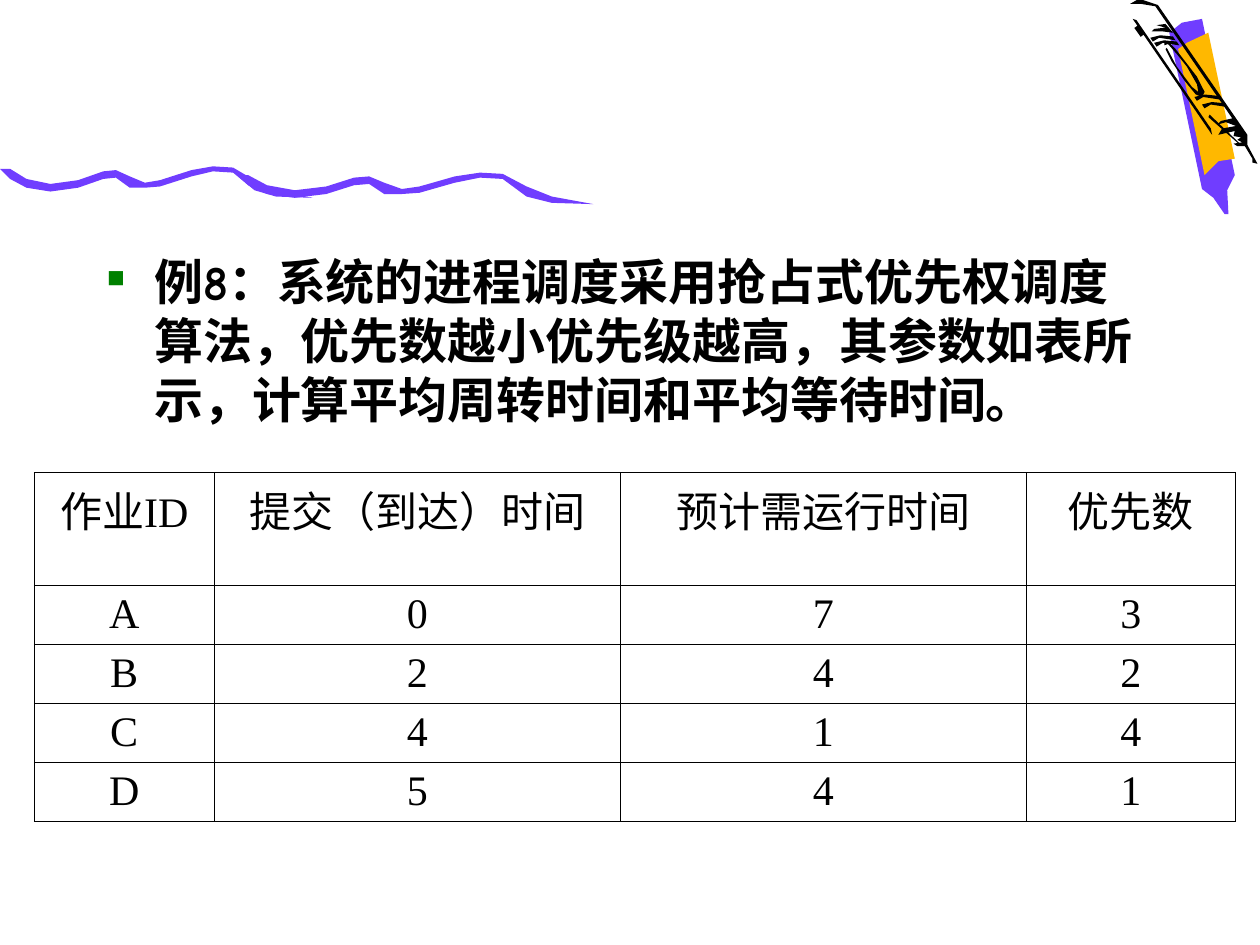
from lxml.etree import SubElement
from pptx import Presentation
from pptx.dml.color import RGBColor
from pptx.enum.shapes import MSO_CONNECTOR
from pptx.enum.text import PP_ALIGN
from pptx.oxml.ns import qn
from pptx.util import Pt

# Decorations are drawn on a grid of hundredths of an inch, given here in points.
GRID = 0.72

# Stations along one wave: x, upper edge, thickness.
WAVE = [(0, 0, 0), (8, 0, 8), (21, 8, 7), (40, 12, 6), (62, 9, 6), (82, 2, 6),
        (92, 1, 6), (103, 6, 9), (115, 11, 4), (127, 9, 5), (152, 1, 5),
        (169, -2, 4), (185, -1, 4), (202, 9, 8), (219, 17, 5), (248, 23, 0)]
# The same wave is drawn twice: origin and horizontal stretch.
WAVE_PLACES = [((0, 134), 1), ((188, 139), 1.14)]

# One short pen tick, repeated at each of these places.
TICK = [(0, 0), (5, -3), (18, -1), (16, -4), (6, -5), (-2, -3)]
TICK_PLACES = [(956, 86), (950, 80), (918, 37), (915, 33)]
# The barbed tick at the top has a shape of its own.
BARB = [(914, 25), (923, 25), (931, 26), (925, 19), (918, 20), (925, 22), (916, 23)]

# The clip is a long bar whose lower end breaks into teeth.
CLIP_BAR = [(978, 94), (917, 5), (905, 3), (897, 3), (904, -1), (919, 4), (990, 107),
            (990, 115), (998, 130)]
CLIP_TEETH = [(994, 129), (994, 126), (988, 116), (982, 116), (979, 114), (986, 113),
              (982, 111), (985, 109), (979, 108), (980, 104), (967, 107), (970, 102),
              (981, 100), (973, 97), (966, 99), (969, 96)]

# The loop is a pen line that runs round once: outer edge, then back along the inner.
LOOP_OUTER = [(925, 39), (930, 49), (940, 64), (949, 75), (954, 77), (956, 73),
              (950, 61), (940, 48), (933, 39), (927, 33), (924, 33)]
LOOP_INNER = [(924, 36), (927, 35), (934, 43), (942, 53), (950, 67), (951, 73),
              (946, 69), (934, 53), (926, 38)]

QUESTION = ("例8：系统的进程调度采用抢占式优先权调度算法，优先数越小优先级越高，"
            "其参数如表所示，计算平均周转时间和平均等待时间。")
JOBS = [
    ["作业ID", "提交（到达）时间", "预计需运行时间", "优先数"],
    ["A", "0", "7", "3"],
    ["B", "2", "4", "2"],
    ["C", "4", "1", "4"],
    ["D", "5", "4", "1"],
]


def color(hex_code):
    return RGBColor.from_string(hex_code)


def shifted(points, origin, stretch=1):
    """Move points to an origin, stretching them sideways first."""
    return [(origin[0] + x * stretch, origin[1] + y) for x, y in points]


def ribbon(stations):
    """Run along the upper edge of a band and back along its lower edge."""
    upper = [(x, top) for x, top, _ in stations]
    lower = [(x, top + thickness) for x, top, thickness in stations]
    return upper + lower[::-1]


def barrel(corner, along, across, cap, tip):
    """Slanted four-sided body; cap and tip are extra points beyond its two ends."""
    near_right, = shifted([across], corner)
    far_left, = shifted([along], corner)
    far_right, = shifted([along], near_right)
    return [corner, far_left, *shifted(tip, far_left), far_right, near_right,
            *shifted(cap, corner)]


def sliver(start, end, start_edge, end_edge):
    """Thin pen line whose second edge is offset from the first at both ends."""
    return [start, end, *shifted([end_edge], end), *shifted([start_edge], start)]


class SlideBuilder:
    INK, PURPLE, AMBER, GREEN = "000000", "703DFF", "FFB800", "008000"
    BODY_FONT, TABLE_FONT = "Comic Neue", "Times New Roman"

    def __init__(self, slide):
        self.slide = slide

    def outline(self, points, fill):
        builder = self.slide.shapes.build_freeform(*points[0], scale=Pt(GRID))
        builder.add_line_segments(points[1:], close=True)
        shape = builder.convert_to_shape()
        shape.shadow.inherit = False
        shape.fill.solid()
        shape.fill.fore_color.rgb = color(fill)
        shape.line.fill.background()

    def stroke(self, start, end, width):
        ends = [Pt(value * GRID) for value in (*start, *end)]
        line = self.slide.shapes.add_connector(MSO_CONNECTOR.STRAIGHT, *ends)
        line.line.color.rgb = color(self.INK)
        line.line.width = Pt(width)
        SubElement(line._element.spPr, qn("a:effectLst"))

    def waves(self):
        for origin, stretch in WAVE_PLACES:
            self.outline(shifted(ribbon(WAVE), origin, stretch), self.PURPLE)

    def pencil(self):
        body = barrel((928, 26), along=(26, 124), across=(26, -11), cap=[(10, -8)],
                      tip=[(9, 7), (18, 20), (21, 20), (20, 1)])
        label = barrel((935, 39), along=(21, 100), across=(24, -13), cap=[(7, -5)],
                       tip=[(11, -11)])
        self.outline(body, self.PURPLE)
        self.outline(label, self.AMBER)

    def pen_lines(self):
        crease = sliver((959, 93), (984, 115), (1, -2), (0, -1))
        rail = sliver((899, 15), (962, 107), (3, 1), (-1, -5))
        ticks = [shifted(TICK, place) for place in TICK_PLACES]
        for points in (crease, BARB, LOOP_OUTER + LOOP_INNER, rail,
                       CLIP_BAR + CLIP_TEETH, *ticks):
            self.outline(points, self.INK)
        self.stroke((902, 21), (907, 28), 3)

    def style_text(self, paragraph, font_name, size, bold=False):
        for run in paragraph.runs:
            run.font.name = font_name
            run.font.size = Pt(size)
            run.font.bold = bold
            run.font.color.rgb = color(self.INK)

    def bullet_text(self, text, left, top, width, height):
        box = self.slide.shapes.add_textbox(Pt(left), Pt(top), Pt(width), Pt(height))
        box.text_frame.word_wrap = True
        box.text_frame.text = text
        paragraph = box.text_frame.paragraphs[0]
        properties = paragraph._p.get_or_add_pPr()
        properties.set("marL", str(Pt(27)))
        properties.set("indent", str(Pt(-27)))
        bullet_color = SubElement(properties, qn("a:buClr"))
        SubElement(bullet_color, qn("a:srgbClr"), val=self.GREEN)
        SubElement(properties, qn("a:buSzPct"), val="50000")
        SubElement(properties, qn("a:buChar"), char="■")
        self.style_text(paragraph, self.BODY_FONT, 28, bold=True)
        for run in paragraph.runs:
            SubElement(run._r.get_or_add_rPr(), qn("a:ea"), typeface=self.BODY_FONT)

    def border(self, cell, width):
        properties = cell._tc.get_or_add_tcPr()
        for side in ("a:lnL", "a:lnR", "a:lnT", "a:lnB"):
            edge = SubElement(properties, qn(side), w=str(Pt(width)))
            fill = SubElement(edge, qn("a:solidFill"))
            SubElement(fill, qn("a:srgbClr"), val=self.INK)

    def table(self, rows, left, top, widths, heights):
        table = self.slide.shapes.add_table(
            len(rows), len(widths), Pt(left), Pt(top),
            Pt(sum(widths)), Pt(sum(heights))).table
        table.first_row = table.horz_banding = False
        for column, width in zip(table.columns, widths):
            column.width = Pt(width)
        for row, height, values in zip(table.rows, heights, rows):
            row.height = Pt(height)
            for cell, value in zip(row.cells, values):
                cell.margin_left = cell.margin_right = Pt(5.76)
                cell.margin_top, cell.margin_bottom = Pt(3.6), Pt(1)
                self.border(cell, 0.45)
                cell.fill.background()
                cell.text_frame.text = value
                paragraph = cell.text_frame.paragraphs[0]
                paragraph.alignment = PP_ALIGN.CENTER
                self.style_text(paragraph, self.TABLE_FONT, 24)


def main():
    deck = Presentation()
    deck.slide_width, deck.slide_height = Pt(720), Pt(540)
    page = SlideBuilder(deck.slides.add_slide(deck.slide_layouts[6]))
    page.pencil()
    page.waves()
    page.pen_lines()
    page.bullet_text(QUESTION, 54, 140.4, 606.2, 327.6)
    page.table(JOBS, 19.5, 270, [103, 232, 232, 119.5], [64.4] + [33.7] * 4)
    deck.save("out.pptx")


if __name__ == "__main__":
    main()
